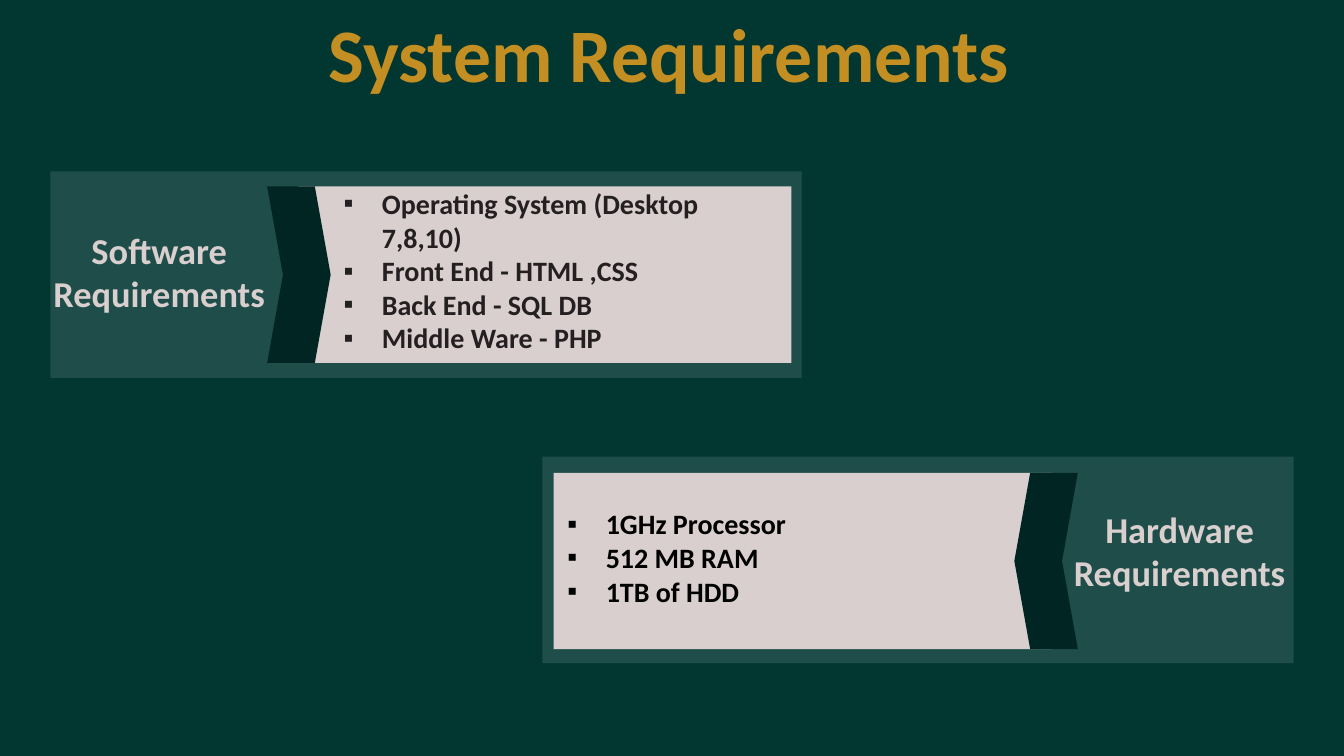
from dataclasses import dataclass

from lxml import etree
from pptx import Presentation
from pptx.dml.color import RGBColor
from pptx.enum.shapes import MSO_SHAPE
from pptx.enum.text import MSO_ANCHOR, PP_ALIGN
from pptx.oxml.ns import qn
from pptx.util import Inches, Pt

RECTANGLE, CHEVRON = MSO_SHAPE.RECTANGLE, MSO_SHAPE.CHEVRON
LEFT, CENTER = PP_ALIGN.LEFT, PP_ALIGN.CENTER
TOP = MSO_ANCHOR.TOP

TITLE = "System Requirements"
TITLE_BOX = (3.16, 0.02, 7.02, 1.01)

# Boxes are (left, top, width, height) in inches.
PANELS = [
    {
        "label": "Software Requirements",
        "items": ["Operating System (Desktop 7,8,10)", "Front End - HTML ,CSS",
                  "Back End - SQL DB", "Middle Ware - PHP"],
        "item_color": "241F21",
        "frame": (0.5, 1.7, 7.45, 2.05),
        "card": (2.96, 1.85, 4.89, 1.75),
        "chevron_left": 2.65,
        "points_left": False,
        "label_box": (0.22, 2.21, 2.72, 0.98),
        "items_box": (3.31, 1.8, 3.98, 1.78),
    },
    {
        "label": "Hardware Requirements",
        "items": ["1GHz Processor", "512 MB RAM", "1TB of HDD"],
        "item_color": "000000",
        "frame": (5.38, 4.53, 7.45, 2.05),
        "card": (5.49, 4.69, 4.95, 1.75),
        "chevron_left": 10.06,
        "points_left": True,
        "label_box": (10.34, 4.98, 2.72, 0.98),
        "items_box": (5.53, 4.98, 3.91, 1.11),
    },
]
CHEVRON_WIDTH = 0.63
CHEVRON_POINT = 0.249
BULLET_INDENT = 0.38


@dataclass(frozen=True)
class Theme:
    font: str = "Calibri"
    background: str = "013631"
    frame: str = "FFFFFF"
    frame_opacity: int = 12
    card: str = "D8CFCE"
    chevron: str = "012522"
    title: str = "C48F22"
    label: str = "D8CFCE"
    title_size: int = 54
    label_size: int = 26
    item_size: int = 20


THEME = Theme()


def inches(box):
    return [Inches(value) for value in box]


def add_block(shapes, kind, box, color):
    shape = shapes.add_shape(kind, *inches(box))
    shape.shadow.inherit = False
    shape.fill.solid()
    shape.fill.fore_color.rgb = RGBColor.from_string(color)
    shape.line.fill.background()
    return shape


def set_opacity(shape, percent):
    color = shape.fill._xPr.find(qn("a:solidFill"))[0]
    etree.SubElement(color, qn("a:alpha")).set("val", str(percent * 1000))


def write_text(shape, lines, size, color, alignment=LEFT):
    frame = shape.text_frame
    frame.text = "\n".join(lines)
    frame.word_wrap = True
    frame.vertical_anchor = TOP
    for paragraph in frame.paragraphs:
        paragraph.alignment = alignment
        for run in paragraph.runs:
            run.font.name = THEME.font
            run.font.size = Pt(size)
            run.font.bold = True
            run.font.color.rgb = RGBColor.from_string(color)


def add_bullet(paragraph):
    properties = paragraph._p.get_or_add_pPr()
    properties.set("marL", str(Inches(BULLET_INDENT)))
    properties.set("indent", str(-Inches(BULLET_INDENT)))
    etree.SubElement(properties, qn("a:buFont")).set("typeface", "Arial")
    etree.SubElement(properties, qn("a:buChar")).set("char", "▪")


def add_panel(slide, panel):
    shapes = slide.shapes.add_group_shape().shapes
    frame = add_block(shapes, RECTANGLE, panel["frame"], THEME.frame)
    set_opacity(frame, THEME.frame_opacity)
    add_block(shapes, RECTANGLE, panel["card"], THEME.card)
    top, height = panel["card"][1], panel["card"][3]
    chevron = add_block(shapes, CHEVRON,
                        (panel["chevron_left"], top, CHEVRON_WIDTH, height),
                        THEME.chevron)
    chevron.adjustments[0] = CHEVRON_POINT
    if panel["points_left"]:
        chevron.rotation = 180

    label = slide.shapes.add_textbox(*inches(panel["label_box"]))
    write_text(label, [panel["label"]], THEME.label_size, THEME.label, CENTER)
    items = slide.shapes.add_textbox(*inches(panel["items_box"]))
    write_text(items, panel["items"], THEME.item_size, panel["item_color"])
    for paragraph in items.text_frame.paragraphs:
        add_bullet(paragraph)


def main():
    presentation = Presentation()
    presentation.slide_width = Inches(13.33)
    presentation.slide_height = Inches(7.5)
    slide = presentation.slides.add_slide(presentation.slide_layouts[5])
    slide.background.fill.solid()
    slide.background.fill.fore_color.rgb = RGBColor.from_string(THEME.background)

    title = slide.shapes.title
    title.left, title.top, title.width, title.height = inches(TITLE_BOX)
    write_text(title, [TITLE], THEME.title_size, THEME.title)
    for panel in PANELS:
        add_panel(slide, panel)
    presentation.save("out.pptx")


if __name__ == "__main__":
    main()
